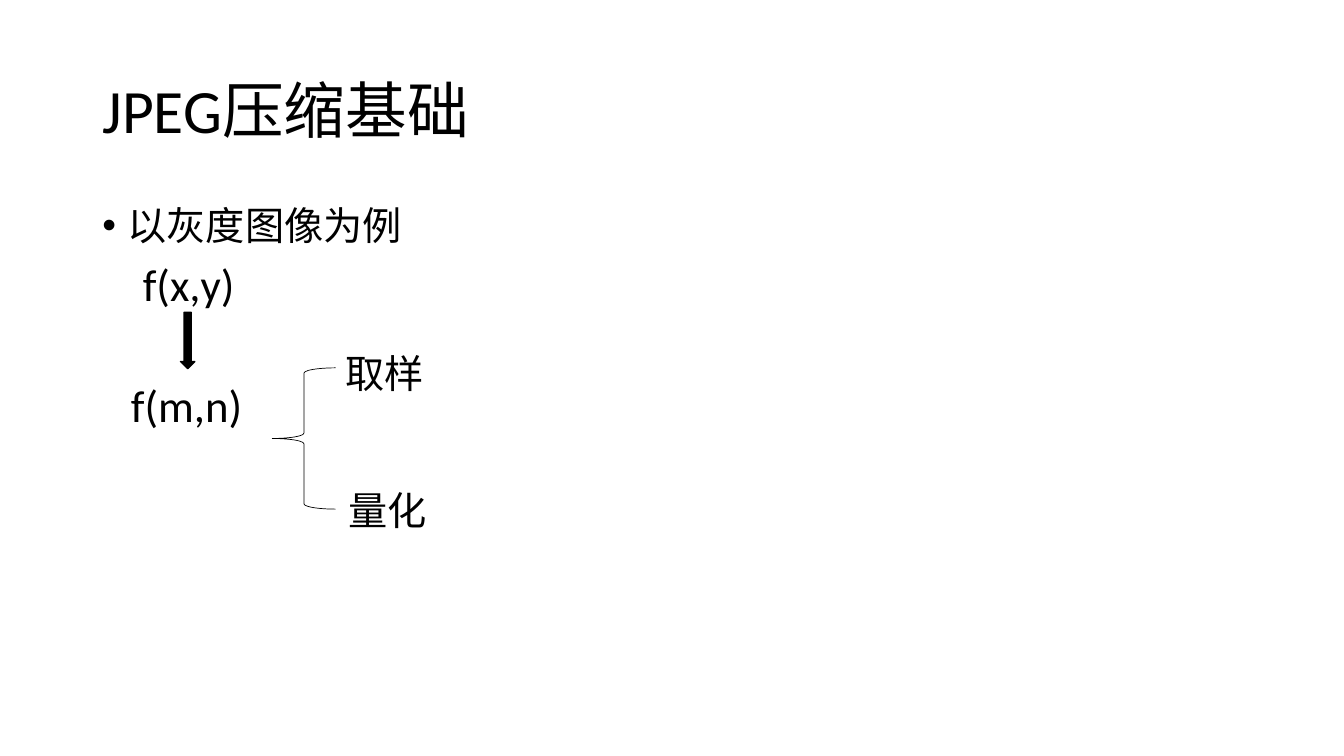
from dataclasses import dataclass

from lxml.etree import SubElement
from pptx import Presentation
from pptx.dml.color import RGBColor
from pptx.enum.shapes import MSO_SHAPE as Preset
from pptx.enum.text import MSO_ANCHOR as Anchor, MSO_AUTO_SIZE as AutoSize, PP_ALIGN as Align
from pptx.oxml.ns import qn
from pptx.util import Cm, Pt


@dataclass(frozen=True)
class Theme:
    font: str = "Calibri"
    ink: RGBColor = RGBColor(0, 0, 0)
    paper: RGBColor = RGBColor(255, 255, 255)
    title_size: int = 44
    formula_size: int = 32
    text_size: int = 28
    line_spacing: float = 0.9


THEME = Theme()
TITLE_ONLY = 5


def place(shape, left, top, width, height):
    shape.left, shape.top = Cm(left), Cm(top)
    shape.width, shape.height = Cm(width), Cm(height)


def add_run(paragraph, text, size):
    run = paragraph.add_run()
    run.text = text
    run.font.name = THEME.font
    run.font.size = Pt(size)
    run.font.color.rgb = THEME.ink


def set_indent(paragraph, margin, first_line=0):
    properties = paragraph._p.get_or_add_pPr()
    properties.set("marL", str(Cm(margin)))
    properties.set("indent", str(Cm(first_line)))
    return properties


def add_bullet(paragraph, margin):
    properties = set_indent(paragraph, margin, -margin)
    SubElement(properties, qn("a:buFont"), typeface="Arial")
    SubElement(properties, qn("a:buChar"), char="•")


def add_title(slide, text):
    title = slide.shapes.title
    place(title, 2.33, 1.01, 29.21, 3.68)
    frame = title.text_frame
    frame.vertical_anchor = Anchor.MIDDLE
    paragraph = frame.paragraphs[0]
    paragraph.alignment = Align.LEFT
    paragraph.line_spacing = THEME.line_spacing
    add_run(paragraph, text, THEME.title_size)


def add_body(slide, bullet_text, formula):
    box = slide.shapes.add_textbox(Cm(2.33), Cm(5.08), Cm(29.21), Cm(12.09))
    frame = box.text_frame
    frame.word_wrap = True
    bullet = frame.paragraphs[0]
    add_bullet(bullet, 0.64)
    bullet.line_spacing = THEME.line_spacing
    add_run(bullet, bullet_text, THEME.text_size)
    line = frame.add_paragraph()
    set_indent(line, 1.02)
    line.line_spacing = THEME.line_spacing
    line.space_before = Pt(10)
    add_run(line, formula, THEME.formula_size)


def add_label(slide, text, left, top, width, height, size, wrap=True):
    box = slide.shapes.add_textbox(Cm(left), Cm(top), Cm(width), Cm(height))
    frame = box.text_frame
    frame.word_wrap = wrap
    frame.auto_size = AutoSize.SHAPE_TO_FIT_TEXT
    add_run(frame.paragraphs[0], text, size)


def add_preset(slide, preset, left, top, width, height, fill, line_width):
    shape = slide.shapes.add_shape(preset, Cm(left), Cm(top), Cm(width), Cm(height))
    shape.shadow.inherit = False
    shape.fill.solid()
    shape.fill.fore_color.rgb = fill
    shape.line.color.rgb = THEME.ink
    shape.line.width = Pt(line_width)


def main():
    presentation = Presentation()
    presentation.slide_width, presentation.slide_height = Cm(33.87), Cm(19.05)
    slide = presentation.slides.add_slide(presentation.slide_layouts[TITLE_ONLY])

    add_title(slide, "JPEG压缩基础")
    add_body(slide, "以灰度图像为例", "f(x,y)")
    add_preset(slide, Preset.DOWN_ARROW, 4.55, 7.87, 0.36, 1.42, THEME.ink, 1)
    add_label(slide, "f(m,n)", 3.05, 9.4, 3.35, 1.63, THEME.formula_size, wrap=False)
    add_preset(slide, Preset.LEFT_BRACE, 6.86, 9.27, 1.6, 3.56, THEME.paper, 0.5)
    for step, left, top in (("取样", 8.46, 8.69), ("量化", 8.53, 12.12)):
        add_label(slide, step, left, top, 2.97, 1.45, THEME.text_size)

    presentation.save("out.pptx")


if __name__ == "__main__":
    main()
